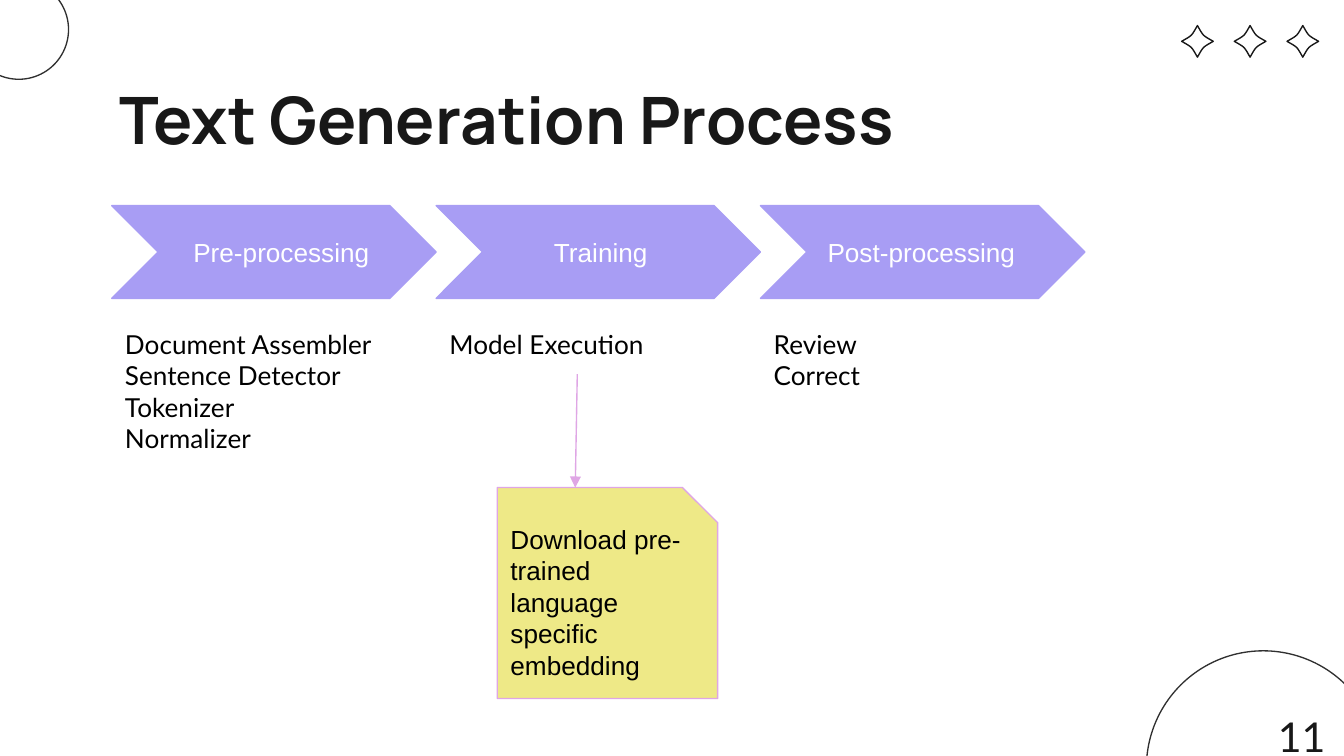
import pptx
import pptx.util
import pptx.dml.color
import pptx.enum.shapes
import pptx.enum.text
import pptx.oxml
import pptx.oxml.ns

COLUMNS, ROWS = 100, 56.25
UNIT = pptx.util.Inches(10) // COLUMNS  # one square grid cell

COLORS = {
    "ink": "181818",
    "circle": "303030",
    "chevron": "A89DF4",
    "note": "EEE987",
    "accent": "DFA6E5",
    "white": "FFFFFF",
    "black": "000000",
}
SHAPES = pptx.enum.shapes.MSO_SHAPE
ALIGN = pptx.enum.text.PP_ALIGN
ANCHOR = pptx.enum.text.MSO_ANCHOR

# Heading, indent of the heading in columns, steps
STAGES = [
    ("Pre-processing", 1.62,
     ["Document Assembler", "Sentence Detector", "Tokenizer", "Normalizer"]),
    ("Training", 4.32, ["Model Execution"]),
    ("Post-processing", 0.54, ["Review", "Correct"]),
]


def grid(*values):
    return [round(value * UNIT) for value in values]


def color(name):
    return pptx.dml.color.RGBColor.from_string(COLORS[name])


def style(shape, fill=None, line=None, width=0.75):
    shape.shadow.inherit = False
    if fill:
        shape.fill.solid()
        shape.fill.fore_color.rgb = color(fill)
    else:
        shape.fill.background()
    shape.line.color.rgb = color(line)
    shape.line.width = pptx.util.Pt(width)


def write(shape, lines, size=14, font="Lato", ink="black", bold=False,
          align=ALIGN.LEFT, anchor=ANCHOR.TOP, indent=0):
    """Fill a shape with one paragraph per line; indent is in columns."""
    frame = shape.text_frame
    frame.word_wrap = True
    frame.vertical_anchor = anchor
    frame.margin_left = grid(1 + indent)[0]
    frame.margin_top = frame.margin_right = frame.margin_bottom = UNIT
    for index, line in enumerate(lines):
        paragraph = frame.add_paragraph() if index else frame.paragraphs[0]
        paragraph.alignment = align
        run = paragraph.add_run()
        run.text = line
        run.font.size = pptx.util.Pt(size)
        run.font.name = font
        run.font.bold = bold
        run.font.color.rgb = color(ink)


def add_text(slide, box, lines, **text_format):
    shape = slide.shapes.add_textbox(*grid(*box))
    write(shape, lines, **text_format)
    return shape


def add_circle(slide, box):
    circle = slide.shapes.add_shape(SHAPES.OVAL, *grid(*box))
    style(circle, line="circle", width=0.72)


def add_star(slide, box):
    """Draw a four-pointed star with hollow sides."""
    left, top, width, height = box
    arm = [(0, -1), (0.2, -0.65), (0.29, -0.51), (0.39, -0.39),
           (0.51, -0.29), (0.65, -0.2)]
    points = []
    for _ in range(4):
        points += arm
        arm = [(-y, x) for x, y in arm]
    corners = [grid(left + width * (1 + x) / 2, top + height * (1 + y) / 2)
               for x, y in points]
    builder = slide.shapes.build_freeform(*corners[0])
    builder.add_line_segments(corners[1:], close=True)
    style(builder.convert_to_shape(), line="ink")


def add_decoration(slide, box):
    left, top, width, height = box
    add_circle(slide, (left + width - 14.7, top + height - 7.82, 17.4, 17.4))
    add_circle(slide, (left - 2.3, top - 1.5, 7.4, 7.4))
    for index in range(3):
        add_star(slide, (left + width - 12.08 + 3.92 * index, top + 1.9, 2.35, 2.35))


def add_stages(slide, box):
    """Place the chevrons side by side with their steps; return the step boxes."""
    left, top, width, height = box
    pitch = width / len(STAGES)
    step_boxes = []
    for index, (heading, indent, steps) in enumerate(STAGES):
        stage_left = left + pitch * index
        chevron = slide.shapes.add_shape(
            SHAPES.CHEVRON, *grid(stage_left, top, pitch, height))
        style(chevron, fill="chevron", line="chevron")
        write(chevron, [heading], font="Arial", ink="white",
              anchor=ANCHOR.MIDDLE, indent=indent)
        step_boxes.append(add_text(
            slide, (stage_left, top + 8.14, 21, 2.05 + 2.35 * len(steps)), steps))
    return step_boxes


def add_note(slide, box, source):
    """Place the note and an arrow to it from below the source box."""
    left, top, width, height = box
    arrow = slide.shapes.add_connector(
        pptx.enum.shapes.MSO_CONNECTOR.STRAIGHT,
        *grid(left, top, left + 5.8, top))
    arrow.begin_connect(source, 2)
    arrow.line.color.rgb = color("accent")
    arrow.line.width = pptx.util.Pt(0.75)
    line = arrow.line._get_or_add_ln()
    head = pptx.oxml.parse_xml(
        f'<a:tailEnd {pptx.oxml.ns.nsdecls("a")} type="triangle"/>')
    line.append(head)
    properties = arrow._element.spPr
    properties.append(pptx.oxml.parse_xml(
        f'<a:effectLst {pptx.oxml.ns.nsdecls("a")}/>'))

    note = slide.shapes.add_shape(SHAPES.SNIP_1_RECTANGLE, *grid(*box))
    style(note, fill="note", line="accent")
    write(note, ["Download pre-trained language specific embedding"],
          font="Arial", anchor=ANCHOR.MIDDLE)


def main():
    presentation = pptx.Presentation()
    presentation.slide_width, presentation.slide_height = grid(COLUMNS, ROWS)
    slide = presentation.slides.add_slide(presentation.slide_layouts[6])

    add_decoration(slide, (0, 0, COLUMNS, ROWS))
    add_text(slide, (7.9, 4.9, 84.3, 6.3), ["Text Generation Process"],
             size=35, font="Manrope", ink="ink", bold=True)
    add_text(slide, (93.6, 51.95, 6, 4.3), ["11"],
             size=22, ink="ink", align=ALIGN.RIGHT)
    step_boxes = add_stages(slide, (8.32, 15.3, 72.4, 6.9))
    add_note(slide, (37, 36.28, 16.4, 15.7), step_boxes[1])
    presentation.save("out.pptx")


if __name__ == "__main__":
    main()
